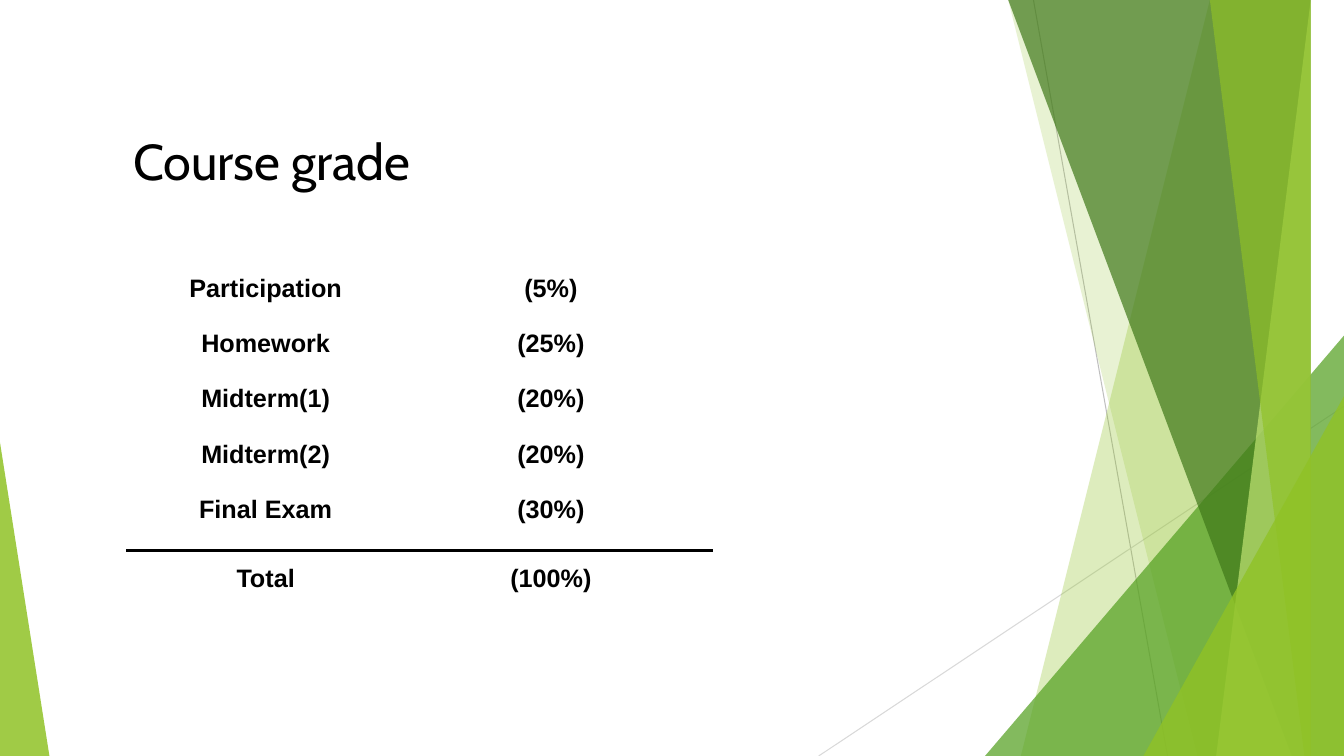
from dataclasses import dataclass

from lxml.etree import SubElement
from pptx import Presentation
from pptx.dml.color import RGBColor
from pptx.enum.shapes import MSO_CONNECTOR, MSO_SHAPE
from pptx.enum.text import MSO_ANCHOR, PP_ALIGN
from pptx.oxml import parse_xml
from pptx.oxml.ns import nsdecls, qn
from pptx.util import Inches, Pt


@dataclass(frozen=True)
class Theme:
    text: str = "000000"
    lime: str = "90C226"
    pale_lime: str = "C0E474"
    green: str = "54A021"
    dark_green: str = "3F7819"
    steep_line: str = "BFBFBF"
    shallow_line: str = "D9D9D9"
    title_font: str = "Cabin"
    body_font: str = "Arial"
    title_size: int = 36
    body_size: int = 18
    hairline: float = 0.75
    rule: float = 2.25


theme = Theme()
WIDTH, HEIGHT = 13.33, 7.5


def paint(facet, color, opacity):
    """Fill a facet with a see-through colour and no outline."""
    facet.shadow.inherit = False
    facet.line.fill.background()
    facet.fill.solid()
    facet.fill.fore_color.rgb = RGBColor.from_string(color)
    color_element = facet.fill._xPr.find(qn("a:solidFill"))[0]
    SubElement(color_element, qn("a:alpha"), val=str(opacity * 1000))


def write(cell, text, font_name, size, bold):
    """Put one styled paragraph in a table cell."""
    paragraph = cell.text_frame.paragraphs[0]
    paragraph.text = text
    paragraph.font.name = font_name
    paragraph.font.size = Pt(size)
    paragraph.font.bold = bold
    paragraph.font.color.rgb = RGBColor.from_string(theme.text)
    return paragraph


presentation = Presentation()
presentation.slide_width = Inches(WIDTH)
presentation.slide_height = Inches(HEIGHT)
slide = presentation.slides.add_slide(presentation.slide_layouts[6])
shapes = slide.shapes

# Thin lines behind the facets
for x1, y1, x2, y2, color in [
    (10.25, 0, 11.58, HEIGHT, theme.steep_line),
    (WIDTH, 4.03, 8.12, HEIGHT, theme.shallow_line),
]:
    hairline = shapes.add_connector(
        MSO_CONNECTOR.STRAIGHT, Inches(x1), Inches(y1), Inches(x2), Inches(y2))
    hairline.line.color.rgb = RGBColor.from_string(color)
    hairline.line.width = Pt(theme.hairline)
    SubElement(hairline._element.spPr, qn("a:effectLst"))

# Facets from back to front: bands run from a slanted left side to the slide's
# right edge, peaks are right triangles standing on the bottom edge
facets = [
    ("band", (12.28, 10.04), theme.lime, 30),
    ("band", (10.5, 11.83), theme.lime, 20),
    ("peak", (9.77, 3.33, 3.56, 1), theme.green, 72),
    ("band", (10.21, 12.91), theme.dark_green, 70),
    ("band", (13.03, 11.92), theme.pale_lime, 70),
    ("band", (11.96, 13.18), theme.lime, 65),
    ("peak", (11.34, 3.93, 1.99, 1), theme.lime, 80),
    ("peak", (0, 4.39, 0.49, 0), theme.lime, 85),
]
for kind, geometry, color, opacity in facets:
    if kind == "band":
        top_x, bottom_x = geometry
        outline = shapes.build_freeform(top_x, 0, scale=Inches(1))
        outline.add_line_segments(
            [(WIDTH, 0), (WIDTH, HEIGHT), (bottom_x, HEIGHT)], close=True)
        facet = outline.convert_to_shape()
    else:
        left, top, width, apex = geometry
        facet = shapes.add_shape(
            MSO_SHAPE.ISOSCELES_TRIANGLE, Inches(left), Inches(top),
            Inches(width), Inches(HEIGHT - top))
        facet.adjustments[0] = apex
    paint(facet, color, opacity)

# Grade table: title row, spacer row, then one row per grade part
grades = [
    ("Participation", "(5%)"),
    ("Homework", "(25%)"),
    ("Midterm(1)", "(20%)"),
    ("Midterm(2)", "(20%)"),
    ("Final Exam", "(30%)"),
    ("Total", "(100%)"),
]
column_widths = [0.48, 1.81, 0.32, 3.21, 0.1, 2.91]
row_heights = [1.03, 0.38] + [0.55] * len(grades)
total_row = len(row_heights) - 1
grade_table = shapes.add_table(
    len(row_heights), len(column_widths), Inches(1.25), Inches(1.3),
    Inches(sum(column_widths)), Inches(sum(row_heights))).table
grade_table.first_row = False
grade_table.horz_banding = False
for column, width in zip(grade_table.columns, column_widths):
    column.width = Inches(width)
for row, height in zip(grade_table.rows, row_heights):
    row.height = Inches(height)

for cell in grade_table.iter_cells():
    cell.fill.background()
    cell.margin_left = cell.margin_right = Inches(0.07)
    cell.margin_top = Inches(0.01)
    cell.margin_bottom = 0
    # Clear the borders of the default table style
    for position, side in enumerate(("lnL", "lnR", "lnT", "lnB")):
        cell._tc.get_or_add_tcPr().insert(position, parse_xml(
            f'<a:{side} {nsdecls("a")} w="0"><a:noFill/></a:{side}>'))

# Title
grade_table.cell(0, 0).merge(grade_table.cell(0, 5))
grade_table.cell(1, 1).merge(grade_table.cell(1, 4))
write(grade_table.cell(0, 0), "Course grade",
      theme.title_font, theme.title_size, False)

# Grade parts and their weights
for row_index, grade in enumerate(grades, start=2):
    grade_table.cell(row_index, 4).merge(grade_table.cell(row_index, 5))
    for column_index, text in zip((1, 3), grade):
        cell = grade_table.cell(row_index, column_index)
        entry = write(cell, text, theme.body_font, theme.body_size, True)
        entry.alignment = PP_ALIGN.CENTER
        if row_index == total_row:
            cell.vertical_anchor = MSO_ANCHOR.MIDDLE

# Rule above the total
for column_index in range(4):
    for row_index, side in ((total_row - 1, "lnB"), (total_row, "lnT")):
        properties = grade_table.cell(row_index, column_index)._tc.tcPr
        border = properties.find(qn(f"a:{side}"))
        border.set("w", str(Pt(theme.rule)))
        border.remove(border[0])
        rule_fill = SubElement(border, qn("a:solidFill"))
        SubElement(rule_fill, qn("a:srgbClr"), val=theme.text)

presentation.save("out.pptx")
